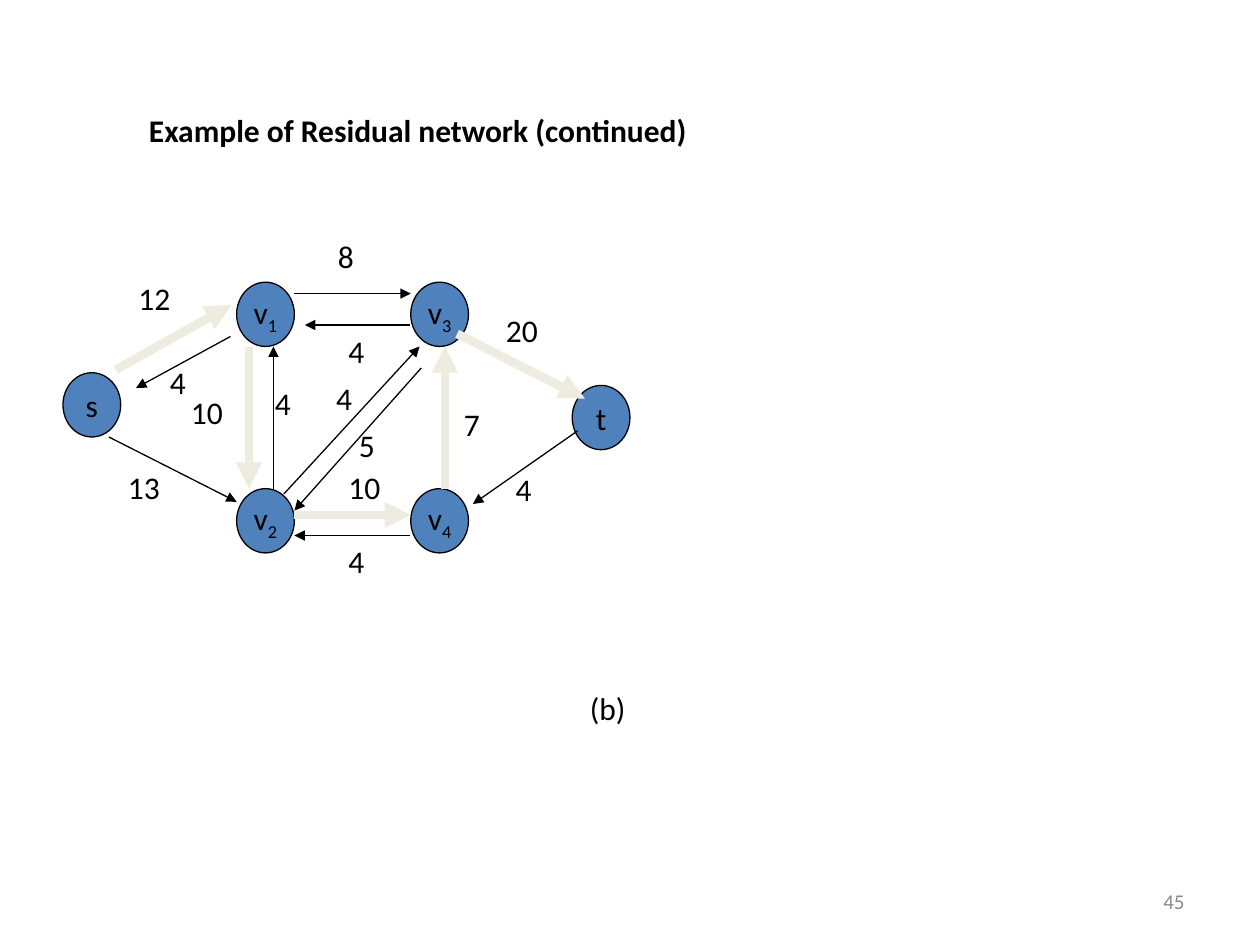
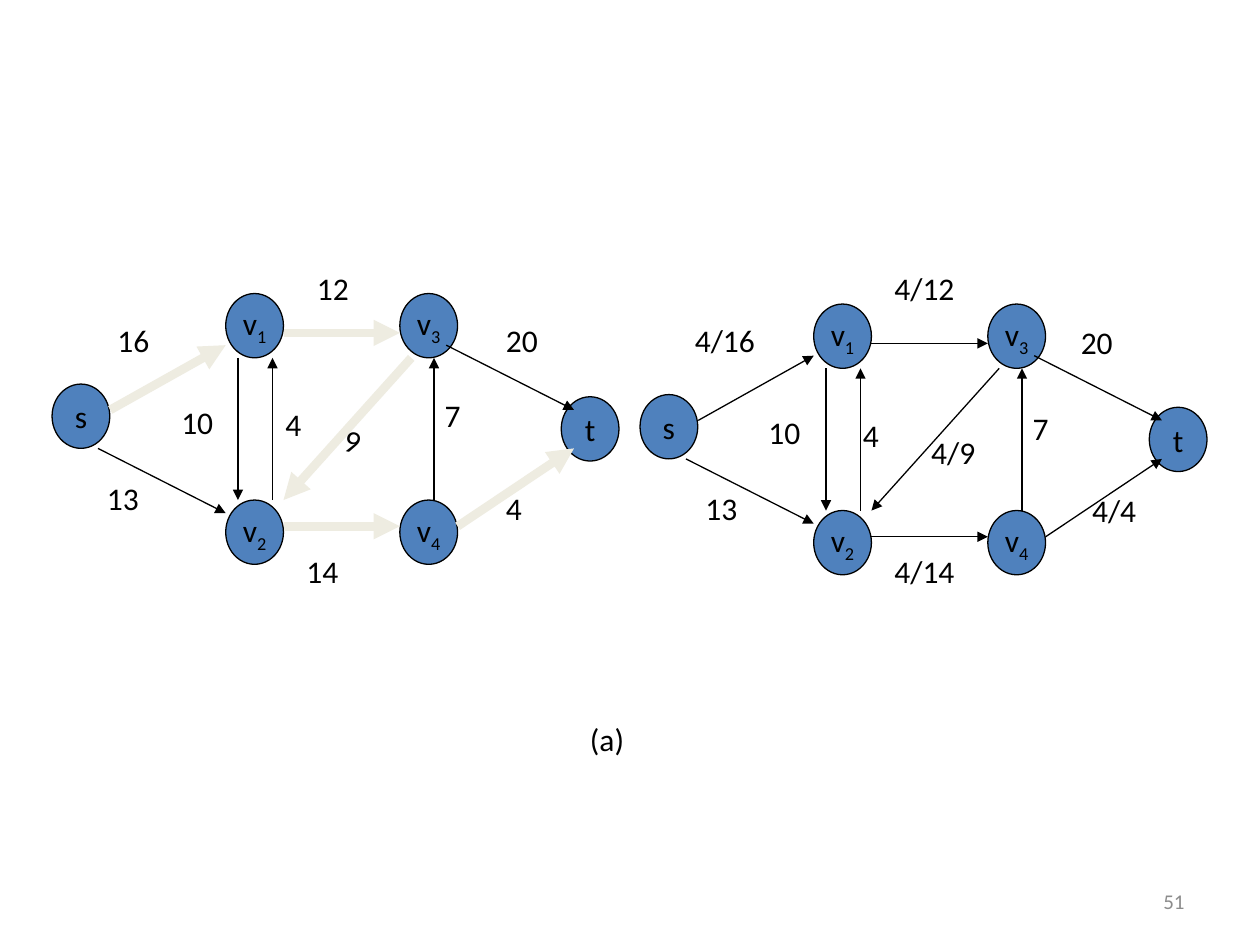
from pptx import Presentation
from pptx import util as u
from pptx.dml.color import RGBColor
from pptx.enum import shapes, text
from pptx.oxml.ns import qn
from lxml import etree

FONT = "Calibri"
BLACK, GRAY, NODE_BLUE, CREAM = "000000", "8C8C8C", "4F81BD", "EEECE1"
NODE_W, NODE_H = 33, 36.75

# Node corners and edge ends, in points from the corner of node v1
NODES = {"s": (-99.25, 51.75), "v1": (0, 0), "v2": (0, 118),
         "v3": (99.5, 0), "v4": (99.5, 118), "t": (191.75, 59)}
EDGES = {
    "s-v1": (-66, 66.5, 0, 29.5), "s-v2": (-73, 88.5, 0, 125.5),
    "v1-v2": (7, 36.75, 7, 118), "v2-v1": (26.75, 118, 26.75, 36.75),
    "v1-v3": (33, 22.5, 99.5, 22.5), "v3-v2": (106, 36.75, 33, 118),
    "v2-v4": (33, 133, 99.5, 133), "v4-v3": (119, 118, 119, 36.75),
    "v3-t": (126, 29.5, 199, 66.5), "v4-t": (132.5, 133, 199, 88.5),
}
# The residual network moves some edges and adds their reverses
RESIDUAL_EDGES = {
    **EDGES,
    "s-v1": (-69, 50, -3, 13), "v1-s": (-3.5, 31, -57.5, 60.5),
    "v1-v3": (33, 6.5, 99.5, 6.5), "v3-v1": (99, 24.5, 39, 24.5),
    "v2-v1": (21, 118, 21, 36.75),
    "v3-v2": (105.5, 49, 33, 130.5), "v2-v3": (27, 121, 104.5, 36.75),
    "v4-v2": (99, 144.75, 33, 144.75), "t-v4": (194.75, 85, 135, 126.75),
}
del RESIDUAL_EDGES["v4-t"]


def rgb(color):
    return RGBColor.from_string(color)


class Deck:
    def __init__(self):
        self.prs = Presentation()
        self.prs.slide_width, self.prs.slide_height = u.Pt(720), u.Pt(540)
        self.s = None

    def slide(self, number):
        self.s = self.prs.slides.add_slide(self.prs.slide_layouts[6])
        self.text(number, 516, 500.5, 168, 28.75, size=12, color=GRAY,
                  align=text.PP_ALIGN.RIGHT, anchor=text.MSO_ANCHOR.MIDDLE)

    def text(self, words, x, y, w, h=36, size=18, color=BLACK, bold=False,
             align=text.PP_ALIGN.LEFT, anchor=text.MSO_ANCHOR.TOP):
        sp = self.s.shapes.add_textbox(*map(u.Pt, (x, y, w, h)))
        tf = sp.text_frame
        tf.word_wrap, tf.vertical_anchor = True, anchor
        p = tf.paragraphs[0]
        p.add_run().text = words
        self.style(p, size, color, align, bold)
        return sp

    def style(self, p, size, color, align, bold=False):
        p.alignment = align
        p.font.name, p.font.size, p.font.bold = FONT, u.Pt(size), bold
        p.font.color.rgb = rgb(color)

    def label(self, words, x, y, turn=0):
        sp = self.text(words, x, y, 26.5 + 11 * (len(words) - 1))
        sp.rotation = turn

    def node(self, name, x, y):
        sp = self.s.shapes.add_shape(shapes.MSO_SHAPE.OVAL,
                                     *map(u.Pt, (x, y, NODE_W, NODE_H)))
        sp.shadow.inherit = False
        sp.fill.solid()
        sp.fill.fore_color.rgb = rgb(NODE_BLUE)
        sp.line.color.rgb, sp.line.width = rgb(BLACK), u.Pt(0.75)
        tf = sp.text_frame
        tf.word_wrap, tf.vertical_anchor = False, text.MSO_ANCHOR.MIDDLE
        p = tf.paragraphs[0]
        p.add_run().text = name[0]
        if name[1:]:
            r = p.add_run()
            r.text = name[1:]
            r.font._element.set("baseline", "-25000")
        self.style(p, 18, BLACK, text.PP_ALIGN.CENTER)

    def arrow(self, x1, y1, x2, y2, marked):
        c = self.s.shapes.add_connector(shapes.MSO_CONNECTOR.STRAIGHT,
                                        *map(u.Pt, (x1, y1, x2, y2)))
        c.line.color.rgb = rgb(CREAM if marked else BLACK)
        c.line.width = u.Pt(5 if marked else 0.75)
        etree.SubElement(c.line._get_or_add_ln(), qn("a:tailEnd"), type="triangle")
        etree.SubElement(c._element.spPr, qn("a:effectLst"))

    def network(self, x, y, edges, labels, path_edges=()):
        """Draw the flow network with node v1 at x, y."""
        for name, (dx, dy) in NODES.items():
            self.node(name, x + dx, y + dy)
        for name, (x1, y1, x2, y2) in edges.items():
            self.arrow(x + x1, y + y1, x + x2, y + y2, name in path_edges)
        for label in labels:
            self.label(*label)


def main():
    deck = Deck()

    # Residual network with its augmenting path
    deck.slide("45")
    deck.network(
        135.25, 161.25, RESIDUAL_EDGES,
        [("12", 72, 156), ("4", 90, 204), ("13", 66, 264), ("8", 186, 132),
         ("4", 192, 186), ("10", 102, 221), ("4", 150, 216), ("4", 185, 213),
         ("5", 198, 240), ("10", 192, 264), ("4", 192, 306), ("7", 258, 228),
         ("20", 282, 174), ("4", 287.5, 265)],
        ("s-v1", "v1-v2", "v2-v4", "v4-v3", "v3-t"))
    deck.text("(b)", 330, 390, 42.5)
    deck.text("Example of Residual network (continued)", 78, 60, 516, bold=True)

    # Capacities with the chosen path, then the flow along it
    deck.slide("51")
    deck.network(
        129, 167.75, EDGES,
        [("16", 60, 180), ("13", 54, 270), ("12", 174, 150), ("10", 96.5, 227),
         ("4", 156, 228), ("9", 189, 237.5, 15), ("14", 168, 312),
         ("7", 247, 223), ("20", 282, 180), ("4", 282, 276)],
        ("s-v1", "v1-v3", "v3-v2", "v2-v4", "v4-t"))
    deck.network(
        465, 173.75, EDGES,
        [("4/16", 390, 180), ("13", 396, 276), ("4/12", 504, 150),
         ("10", 432, 232.5), ("4", 486, 234), ("4/9", 525, 244),
         ("4/14", 504, 312), ("7", 583, 230), ("20", 610.5, 181),
         ("4/4", 617, 277)])
    deck.text("(a)", 330, 408, 42.5)

    deck.prs.save("out.pptx")


if __name__ == "__main__":
    main()
